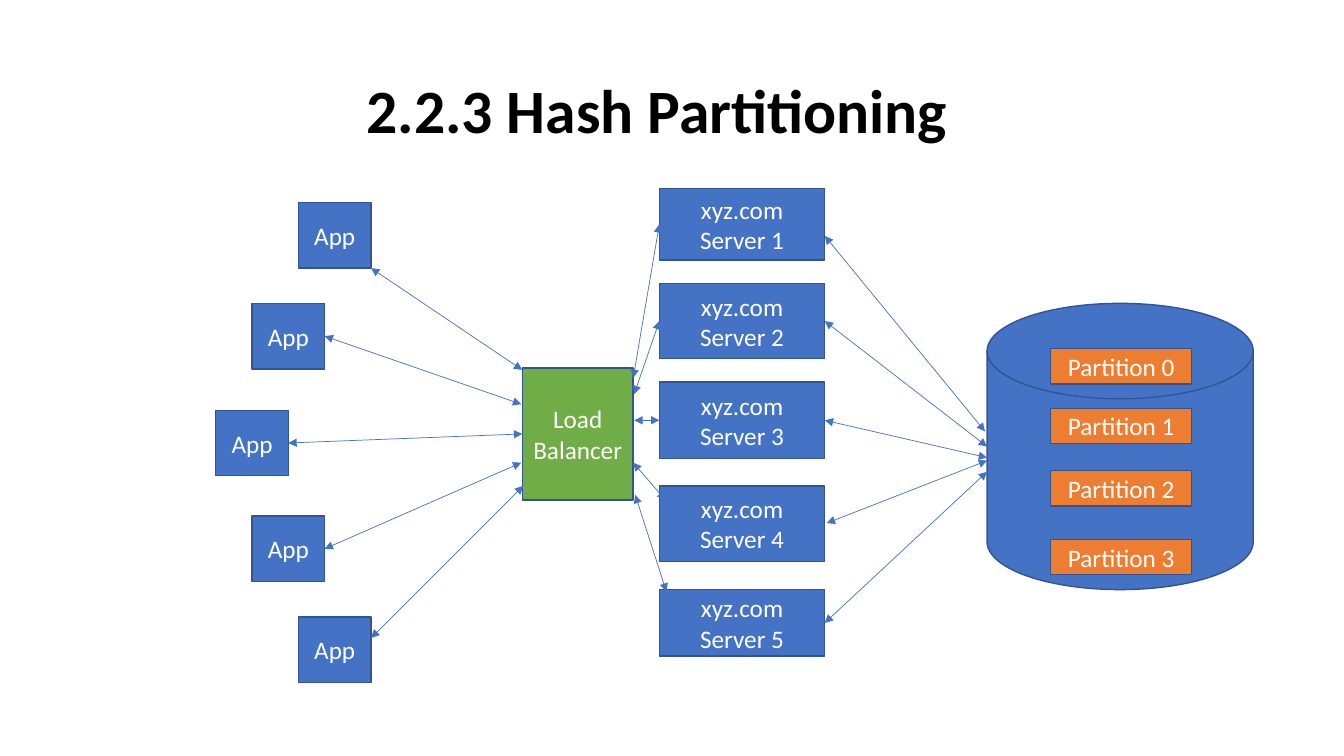
"""Build the hash partitioning slide: clients, balancer, servers and partitions."""
from dataclasses import dataclass

from lxml import etree
from pptx import Presentation
from pptx.dml.color import RGBColor
from pptx.enum.shapes import MSO_CONNECTOR, MSO_SHAPE
from pptx.enum.text import MSO_ANCHOR, PP_ALIGN
from pptx.oxml.ns import qn
from pptx.shapes.autoshape import Shape
from pptx.slide import Slide
from pptx.text.text import TextFrame
from pptx.util import Emu, Pt

PX = 9144
FONT = "Calibri"
BLUE = RGBColor(0x44, 0x72, 0xC4)
NAVY = RGBColor(0x32, 0x54, 0x91)
GREEN = RGBColor(0x70, 0xAD, 0x47)
ORANGE = RGBColor(0xED, 0x7D, 0x31)
WHITE = RGBColor(0xFF, 0xFF, 0xFF)
BLACK = RGBColor(0x00, 0x00, 0x00)
RECTANGLE = MSO_SHAPE.RECTANGLE
DISK = MSO_SHAPE.FLOWCHART_MAGNETIC_DISK
STRAIGHT = MSO_CONNECTOR.STRAIGHT
CENTER = PP_ALIGN.CENTER
MIDDLE = MSO_ANCHOR.MIDDLE
LEFT_SIDE, RIGHT_SIDE = 1, 3


@dataclass(frozen=True)
class Box:
    """A filled shape with a centred label, found by its key."""
    key: str
    label: str
    left: int
    top: int
    width: int
    height: int
    fill: RGBColor = BLUE
    preset: MSO_SHAPE = RECTANGLE


@dataclass(frozen=True)
class Link:
    """A two-way arrow, joined to the right of source and the left of target if given."""
    begin: tuple[int, int]
    end: tuple[int, int]
    source: str = ""
    target: str = ""


CLIENT_SPOTS = [(296, 201), (250, 301), (214, 407), (250, 512), (296, 612)]
SERVER_SPOTS = [(187, 71), (281, 75), (379, 76), (482, 75), (585, 66)]
PARTITION_TOPS = [346, 405, 467, 535]

BOXES = [
    *(Box(f"Client {number}", "App", left, top, 72, 65)
      for number, (left, top) in enumerate(CLIENT_SPOTS, 1)),
    *(Box(f"Server {number}", f"xyz.com\nServer {number}", 654, top, 164, height)
      for number, (top, height) in enumerate(SERVER_SPOTS, 1)),
    Box("Load Balancer", "Load Balancer", 518, 365, 110, 131, GREEN),
    Box("Database", "", 979, 301, 264, 284, BLUE, DISK),
    *(Box(f"Partition {number}", f"Partition {number}", 1042, top, 140, 35, ORANGE)
      for number, top in enumerate(PARTITION_TOPS)),
]

LINKS = [
    Link((368, 266), (518, 367)),
    Link((322, 334), (517, 401), "Client 2"),
    Link((286, 442), (518, 431), "Client 3", "Load Balancer"),
    Link((322, 544), (517, 459), "Client 4"),
    Link((368, 633), (519, 482)),
    Link((628, 375), (654, 222), target="Server 1"),
    Link((629, 391), (654, 318), target="Server 2"),
    Link((629, 417), (654, 417), target="Server 3"),
    Link((628, 459), (660, 496)),
    Link((630, 491), (661, 587)),
    Link((818, 234), (977, 428)),
    Link((818, 318), (979, 443), "Server 2"),
    Link((818, 417), (979, 454), "Server 3"),
    Link((820, 519), (979, 457)),
    Link((818, 618), (979, 468), "Server 5"),
]


def px(length: int) -> Emu:
    """Turn px into EMU."""
    return Emu(length * PX)


def write_text(frame: TextFrame, text: str, size: int, color: RGBColor, bold: bool = False) -> None:
    """Fill a frame with centred text in one style."""
    frame.word_wrap = True
    frame.vertical_anchor = MIDDLE
    frame.text = text
    for para in frame.paragraphs:
        para.alignment = CENTER
        for span in para.runs:
            span.font.name = FONT
            span.font.size = Pt(size)
            span.font.bold = bold
            span.font.color.rgb = color


def draw_title(page: Slide, text: str) -> None:
    """Draw the slide title."""
    title = page.shapes.add_textbox(px(92), px(40), px(1120), px(145))
    write_text(title.text_frame, text, 44, BLACK, True)
    title.text_frame.paragraphs[0].line_spacing = 0.9


def draw_box(page: Slide, box: Box) -> Shape:
    """Draw one box and return its shape."""
    shape = page.shapes.add_shape(
        box.preset, px(box.left), px(box.top), px(box.width), px(box.height))
    shape.shadow.inherit = False
    shape.fill.solid()
    shape.fill.fore_color.rgb = box.fill
    shape.line.color.rgb = NAVY
    shape.line.width = Pt(1)
    if box.label:
        write_text(shape.text_frame, box.label, 18, WHITE)
    return shape


def draw_link(page: Slide, link: Link, shapes: dict[str, Shape]) -> None:
    """Draw one two-way arrow."""
    connector = page.shapes.add_connector(STRAIGHT, *map(px, link.begin + link.end))
    if link.source:
        connector.begin_connect(shapes[link.source], RIGHT_SIDE)
    if link.target:
        connector.end_connect(shapes[link.target], LEFT_SIDE)
    connector.line.color.rgb = BLUE
    connector.line.width = Pt(0.5)
    outline = connector.line._get_or_add_ln()
    for tag in ("a:headEnd", "a:tailEnd"):
        etree.SubElement(outline, qn(tag), type="triangle")
    etree.SubElement(connector._element.spPr, qn("a:effectLst"))


def main() -> None:
    """Build and save the deck."""
    deck = Presentation()
    deck.slide_width, deck.slide_height = px(1333), px(750)
    page = deck.slides.add_slide(deck.slide_layouts[6])
    draw_title(page, "2.2.3 Hash Partitioning")
    shapes = {box.key: draw_box(page, box) for box in BOXES}
    for link in LINKS:
        draw_link(page, link, shapes)
    deck.save("out.pptx")


if __name__ == "__main__":
    main()
